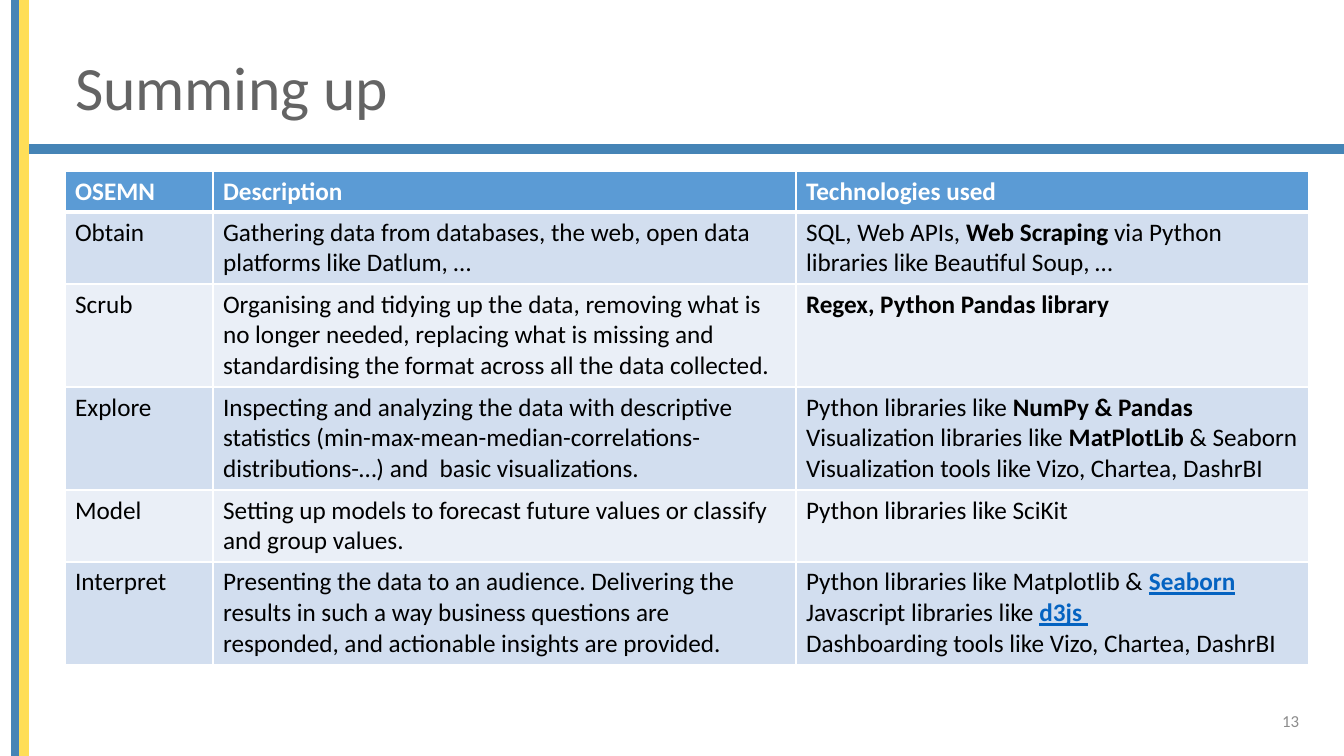
from lxml import etree
from pptx import Presentation
from pptx.dml.color import RGBColor
from pptx.enum import shapes, text
from pptx.oxml import ns
from pptx.util import Pt

EMU_PER_PX = 914400 / 100.8
COLORS = {
    "blue": "4584B6", "yellow": "FFDE57", "title": "646464",
    "header": "5B9BD5", "band": "D2DEEF", "pale": "EAEFF7",
    "white": "FFFFFF", "black": "000000", "link": "0563C1", "number": "8C8C8C",
}
COLUMN_WIDTHS = [148, 583, 513]
LINES_PER_ROW = [1, 2, 3, 3, 2, 3]
LINE_HEIGHT, CELL_PADDING = 31, 10

BOLD = {"bold": True}
LINK = {"bold": True, "underline": True, "color": "link"}

# A cell is a text or a list of paragraphs; a paragraph is a list of
# (text, format) runs, where "\n" in a run is a line break.
ROWS = [
    ["OSEMN", "Description", "Technologies used"],
    ["Obtain",
     "Gathering data from databases, the web, open data platforms like Datlum, …",
     [[("SQL, Web APIs, ", {}), ("Web Scraping ", BOLD),
       ("via Python libraries like Beautiful Soup, …", {})]]],
    ["Scrub",
     "Organising and tidying up the data, removing what is no longer needed, "
     "replacing what is missing and standardising the format across all the "
     "data collected.",
     [[("Regex, Python Pandas library", BOLD)]]],
    ["Explore",
     "Inspecting and analyzing the data with descriptive statistics "
     "(min-max-mean-median-correlations-distributions-…) and  basic "
     "visualizations.",
     [[("Python libraries like ", {}), ("NumPy & Pandas\n", BOLD),
       ("Visualization libraries like ", {}), ("MatPlotLib", BOLD),
       (" & Seaborn\nVisualization tools like Vizo, Chartea, DashrBI", {})]]],
    ["Model",
     "Setting up models to forecast future values or classify and group values.",
     "Python libraries like SciKit"],
    ["Interpret",
     "Presenting the data to an audience. Delivering the results in such a way "
     "business questions are responded, and actionable insights are provided.",
     [[("Python libraries like Matplotlib & ", {}), ("Seaborn", LINK)],
      [("Javascript libraries like ", {}), ("d3js ", LINK)],
      [("Dashboarding tools like Vizo, Chartea, DashrBI", {})]]],
]


def px(n):
    return round(n * EMU_PER_PX)


def rgb(name):
    return RGBColor.from_string(COLORS[name])


def add_run(p, content, size=18, color="black", bold=False, underline=False):
    for i, line in enumerate(content.split("\n")):
        if i:
            p.add_line_break()
        if not line:
            continue
        r = p.add_run()
        r.text = line
        r.font.name = "Calibri"
        r.font.size = Pt(size)
        r.font.bold = bold
        r.font.underline = underline
        r.font.color.rgb = rgb(color)


def write(tf, content, **fmt):
    paragraphs = [[(content, {})]] if isinstance(content, str) else content
    for i, runs in enumerate(paragraphs):
        p = tf.add_paragraph() if i else tf.paragraphs[0]
        for run_text, run_fmt in runs:
            add_run(p, run_text, **{**fmt, **run_fmt})


def add_bar(slide, x, y, w, h, color):
    sp = slide.shapes.add_shape(
        shapes.MSO_SHAPE.RECTANGLE, px(x), px(y), px(w), px(h))
    sp.shadow.inherit = False
    sp.fill.solid()
    sp.fill.fore_color.rgb = rgb(color)
    sp.line.color.rgb = rgb(color)
    sp.line.width = Pt(1)


def set_borders(cell, **widths):
    """Draw white cell borders; widths in points by side L, R, T, B."""
    tc_pr = cell._tc.get_or_add_tcPr()
    for side, width in widths.items():
        ln = etree.SubElement(tc_pr, ns.qn(f"a:ln{side}"), w=str(Pt(width)))
        fill = etree.SubElement(ln, ns.qn("a:solidFill"))
        etree.SubElement(fill, ns.qn("a:srgbClr"), val=COLORS["white"])


def add_title(slide, content):
    title = slide.shapes.title
    title.left, title.top, title.width, title.height = map(px, (65, 40, 1187, 102))
    tf = title.text_frame
    tf.auto_size = text.MSO_AUTO_SIZE.NONE
    tf.vertical_anchor = text.MSO_ANCHOR.MIDDLE
    write(tf, content, size=44, color="title")
    tf.paragraphs[0].alignment = text.PP_ALIGN.LEFT
    tf.paragraphs[0].line_spacing = 0.9


def add_osemn_table(slide):
    heights = [CELL_PADDING + LINE_HEIGHT * n for n in LINES_PER_ROW]
    table = slide.shapes.add_table(
        len(ROWS), len(COLUMN_WIDTHS), px(65), px(171),
        px(sum(COLUMN_WIDTHS)), px(sum(heights))).table
    table.horz_banding = False
    for column, width in zip(table.columns, COLUMN_WIDTHS):
        column.width = px(width)
    for i, (row, height) in enumerate(zip(ROWS, heights)):
        table.rows[i].height = px(height)
        header = i == 0
        fill = "header" if header else "band" if i % 2 else "pale"
        for j, content in enumerate(row):
            cell = table.cell(i, j)
            set_borders(cell, L=1, R=1, T=3 if i == 1 else 1, B=3 if header else 1)
            cell.fill.solid()
            cell.fill.fore_color.rgb = rgb(fill)
            write(cell.text_frame, content, bold=header,
                  color="white" if header else "black")


def add_slide_number(slide, number):
    box = slide.shapes.add_textbox(px(1007), px(701), px(302), px(40))
    tf = box.text_frame
    tf.word_wrap = True
    tf.vertical_anchor = text.MSO_ANCHOR.MIDDLE
    write(tf, number, size=12, color="number")
    tf.paragraphs[0].alignment = text.PP_ALIGN.RIGHT


def main():
    prs = Presentation()
    prs.slide_width, prs.slide_height = px(1344), px(756)
    slide = prs.slides.add_slide(prs.slide_layouts[5])
    add_bar(slide, 19, 145, 1325, 8, "blue")
    add_bar(slide, 12, -19, 8, 793, "blue")
    add_bar(slide, 20, -19, 8, 793, "yellow")
    add_title(slide, "Summing up")
    add_osemn_table(slide)
    add_slide_number(slide, "13")
    prs.save("out.pptx")


if __name__ == "__main__":
    main()
